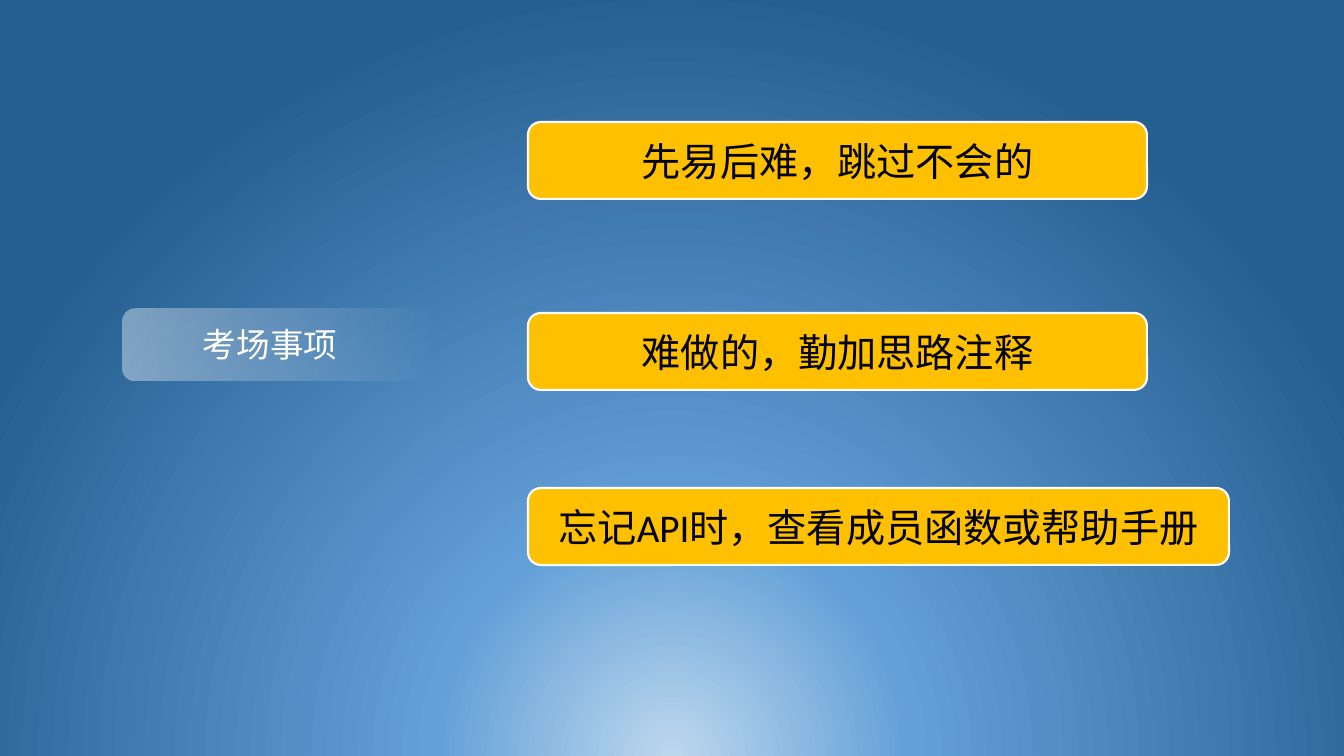
import pptx
import pptx.util
import pptx.oxml
import pptx.oxml.ns
import pptx.dml.color
import pptx.enum.shapes
import pptx.enum.text

HUES = {"gold": "FFC000", "white": "FFFFFF", "black": "000000",
        "pale": "BDD7EE", "sky": "63A0D7", "navy": "255E91"}
FONT = "Noto Sans CJK SC"
ROUND = pptx.enum.shapes.MSO_SHAPE.ROUNDED_RECTANGLE
SCALE = 12192000 / 1344


def blend(fill, stops, shade):
    """Give a fill gradient stops of (percent, hue, opacity) and a direction."""
    fill.gradient()
    old = fill._xPr.find(pptx.oxml.ns.qn("a:gradFill"))
    marks = "".join(
        f'<a:gs pos="{pos * 1000}"><a:srgbClr val="{HUES[hue]}">'
        f'<a:alpha val="{alpha * 1000}"/></a:srgbClr></a:gs>'
        for pos, hue, alpha in stops)
    new = pptx.oxml.parse_xml(
        f'<a:gradFill {pptx.oxml.ns.nsdecls("a")} rotWithShape="1">'
        f'<a:gsLst>{marks}</a:gsLst>{shade}</a:gradFill>')
    old.getparent().replace(old, new)


def write(shape, text, size, hue, font, form):
    for name, value in form.items():
        setattr(shape.text_frame, name, value)
    run = shape.text_frame.paragraphs[0].add_run()
    run.text = text
    look = {"size": pptx.util.Pt(size), "name": font}
    for name, value in look.items():
        setattr(run.font, name, value)
    run.font.color.rgb = pptx.dml.color.RGBColor.from_string(HUES[hue])
    east = pptx.oxml.parse_xml(
        f'<a:ea {pptx.oxml.ns.nsdecls("a")} typeface="{FONT}"/>')
    run.font._element.find(pptx.oxml.ns.qn("a:latin")).addnext(east)


deck = pptx.Presentation()
deck.slide_width, deck.slide_height = [round(n * SCALE) for n in (1344, 756)]
slide = deck.slides.add_slide(deck.slide_layouts[6])
blend(slide.background.fill,
      [(0, "pale", 100), (31, "sky", 100), (100, "navy", 100)],
      '<a:path path="circle"><a:fillToRect l="50000" t="130000" '
      'r="50000" b="-30000"/></a:path>')

# Topic tag: a bar turned on its side that fades to the right
tag = slide.shapes.add_shape(
    ROUND, *[round(n * SCALE) for n in (243, 188, 72, 313)])
tag.rotation = 270
tag.shadow.inherit = False
tag.line.fill.background()
blend(tag.fill, [(0, "white", 40), (100, "white", 0)],
      '<a:lin ang="5400000" scaled="0"/>')
topic = slide.shapes.add_textbox(
    *[round(n * SCALE) for n in (193, 319, 156, 50)])
write(topic, "考场事项", 24, "white", FONT, {
    "word_wrap": False,
    "auto_size": pptx.enum.text.MSO_AUTO_SIZE.SHAPE_TO_FIT_TEXT})

# Exam tips
tips = [
    (122, 619, "先易后难，跳过不会的"),
    (313, 619, "难做的，勤加思路注释"),
    (488, 701, "忘记API时，查看成员函数或帮助手册"),
]
for top, width, text in tips:
    tip = slide.shapes.add_shape(
        ROUND, *[round(n * SCALE) for n in (528, top, width, 77)])
    tip.shadow.inherit = False
    tip.fill.solid()
    tip.fill.fore_color.rgb = pptx.dml.color.RGBColor.from_string(HUES["gold"])
    tip.line.color.rgb = pptx.dml.color.RGBColor.from_string(HUES["white"])
    tip.line.width = pptx.util.Pt(1.5)
    write(tip, text, 28, "black", "Calibri", {
        "word_wrap": True,
        "vertical_anchor": pptx.enum.text.MSO_ANCHOR.MIDDLE})
    tip.text_frame.paragraphs[0].alignment = pptx.enum.text.PP_ALIGN.CENTER

deck.save("out.pptx")
